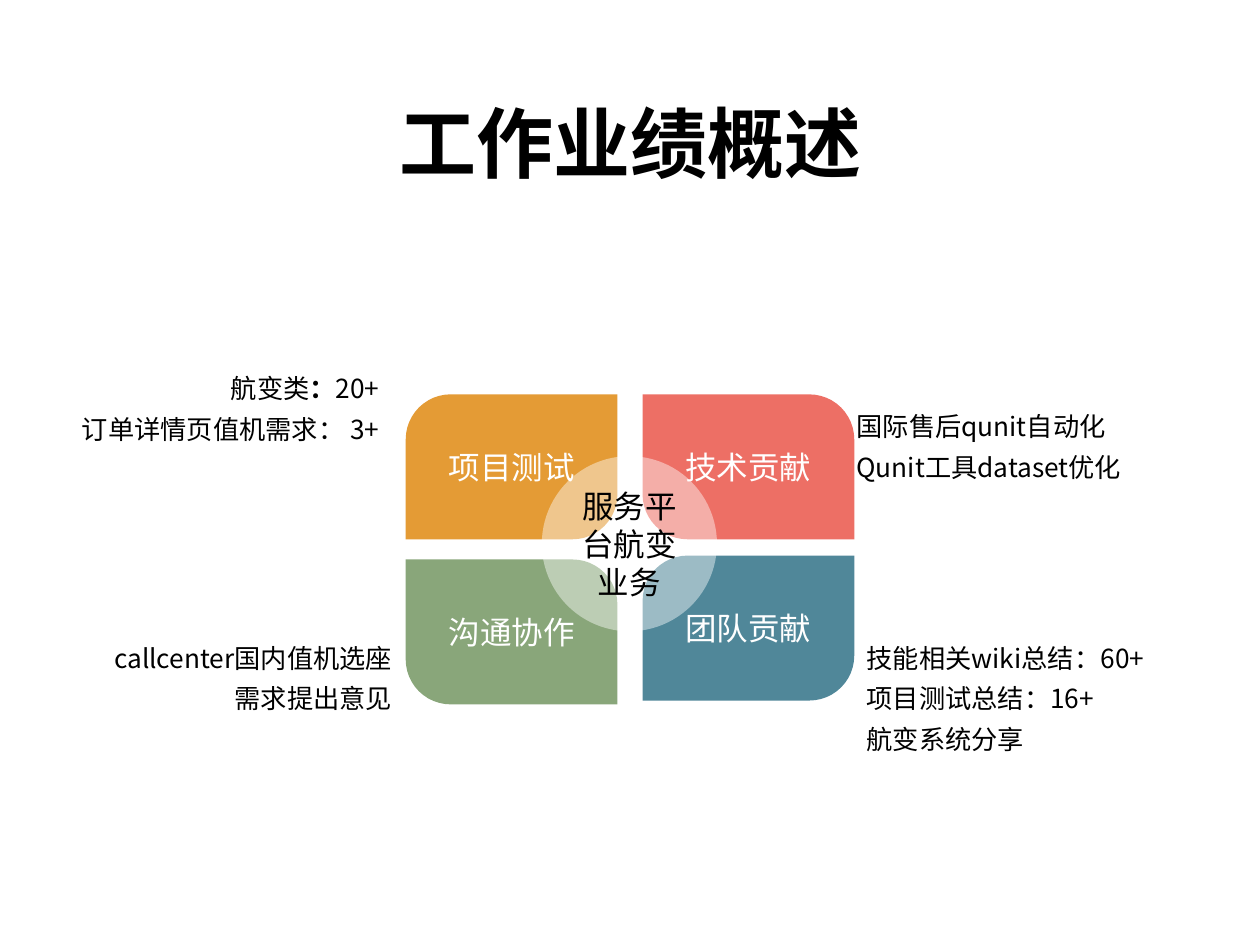
from lxml import etree
from pptx import Presentation
from pptx.dml.color import RGBColor
from pptx.enum.shapes import MSO_SHAPE
from pptx.enum.text import MSO_ANCHOR, PP_ALIGN
from pptx.oxml.ns import qn
from pptx.util import Inches, Pt

LEFT, MID, RIGHT = PP_ALIGN.LEFT, PP_ALIGN.CENTER, PP_ALIGN.RIGHT
CENTRE = MSO_ANCHOR.MIDDLE
LEAF, OVAL = MSO_SHAPE.ROUND_2_DIAG_RECTANGLE, MSO_SHAPE.OVAL
FONT = "Noto Sans CJK SC"
COLORS = {"black": "000000", "white": "FFFFFF", "amber": "E49B35",
          "coral": "ED6F65", "green": "89A67A", "teal": "508799"}


def style(para, size, color, align, face=FONT, bold=False):
    para.alignment = align
    font = para.font
    font.size, font.bold = Pt(size), bold
    font.color.rgb = RGBColor.from_string(COLORS[color])
    font.name = face
    # East Asian face for the Chinese text
    props = para._p.pPr.find(qn("a:defRPr"))
    etree.SubElement(props, qn("a:ea")).set("typeface", FONT)


def block(kind, box, fill, text, color, face=FONT):
    shape = slide.shapes.add_shape(kind, *map(Inches, box))
    shape.shadow.inherit = False
    shape.fill.solid()
    shape.fill.fore_color.rgb = RGBColor.from_string(COLORS[fill])
    shape.line.fill.background()
    frame = shape.text_frame
    frame.word_wrap = True
    frame.vertical_anchor = CENTRE
    frame.text = text
    style(frame.paragraphs[0], 18, color, MID, face)
    return shape


deck = Presentation()
deck.slide_width, deck.slide_height = Inches(10), Inches(7.5)
slide = deck.slides.add_slide(deck.slide_layouts[5])

# Title
title = slide.shapes.title
title.left, title.top = Inches(0.69), Inches(0.4)
title.width, title.height = Inches(8.63), Inches(1.45)
title.text_frame.text = "工作业绩概述"
title.text_frame.vertical_anchor = CENTRE
style(title.text_frame.paragraphs[0], 44, "black", MID, bold=True)

# Four leaves in two columns, round on the diagonal that meets the centre
WIDE, HIGH, ROUND = 1.68, 1.15, 0.31
COLS = (3.22, 5.1)
leaves = [
    (0, 3.13, "amber", "项目测试", (ROUND, 0)),
    (0, 4.44, "green", "沟通协作", (0, ROUND)),
    (1, 3.13, "coral", "技术贡献", (0, ROUND)),
    (1, 4.41, "teal", "团队贡献", (ROUND, 0)),
]
for col, top, fill, text, bends in leaves:
    leaf = block(LEAF, (COLS[col], top, WIDE, HIGH), fill, text, "white")
    for i, bend in enumerate(bends):
        leaf.adjustments[i] = bend

# Notes beside the leaves; each line is a list of (text, bold) runs
notes = [
    ((0.44, 2.83, 2.67, 0.84), RIGHT,
     [[("航变类", False), ("：", True), ("20+", False)],
      [("订单详情页值机需求： 3+", False)]]),
    ((6.7, 3.13, 3.3, 0.84), LEFT,
     [[("国际售后qunit自动化", False)], [("Qunit工具dataset优化", False)]]),
    ((0.57, 4.97, 2.64, 1.1), RIGHT,
     [[("callcenter国内值机选座", False)], [("需求提出意见", False)]]),
    ((6.78, 4.97, 3.22, 1.56), LEFT,
     [[("技能相关wiki总结：60+", False)], [("项目测试总结：16+", False)],
      [("航变系统分享", False)]]),
]
for box, align, lines in notes:
    frame = slide.shapes.add_textbox(*map(Inches, box)).text_frame
    frame.word_wrap = True
    for i, runs in enumerate(lines):
        para = frame.add_paragraph() if i else frame.paragraphs[0]
        para.line_spacing = 1.3
        style(para, 15, "black", align)
        for text, bold in runs:
            run = para.add_run()
            run.text = text
            if bold:
                run.font.bold = True

# Clear disc over the centre
disc = block(OVAL, (4.3, 3.62, 1.39, 1.39), "white", "服务平台航变业务",
             "black", "Arial")
tint = disc._element.spPr.find(qn("a:solidFill"))[0]
etree.SubElement(tint, qn("a:alpha")).set("val", "44000")

deck.save("out.pptx")
